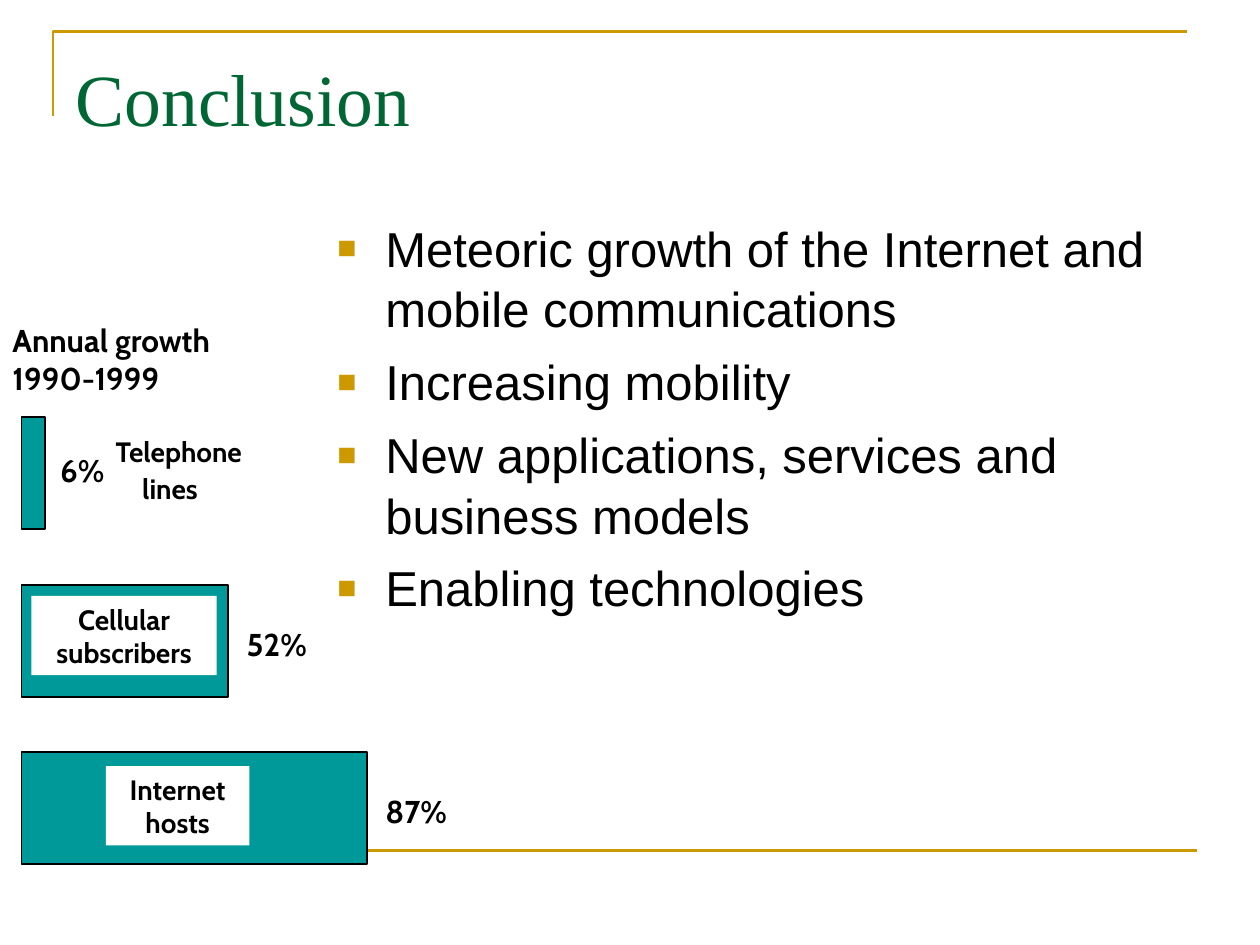
"""Build the conclusion slide with its bullets and annual growth bars."""
from dataclasses import dataclass

from lxml import etree
from pptx import Presentation
from pptx.dml.color import RGBColor
from pptx.enum.shapes import MSO_CONNECTOR, MSO_SHAPE
from pptx.enum.text import MSO_ANCHOR, MSO_AUTO_SIZE, PP_ALIGN
from pptx.oxml.ns import qn
from pptx.util import Inches, Pt

RECTANGLE, STRAIGHT = MSO_SHAPE.RECTANGLE, MSO_CONNECTOR.STRAIGHT
LEFT, CENTER = PP_ALIGN.LEFT, PP_ALIGN.CENTER
TOP, GROW = MSO_ANCHOR.TOP, MSO_AUTO_SIZE.SHAPE_TO_FIT_TEXT
NO_FIT = MSO_AUTO_SIZE.NONE

GOLD, GREEN, TEAL, BLACK, WHITE = "CC9900", "006633", "009999", "000000", "FFFFFF"
BAR_LEFT, BAR_TOP, BAR_PITCH, BAR_HEIGHT = 0.17, 3.31, 1.33, 0.89
INCHES_PER_PERCENT = 0.0315

BULLETS = [
    "Meteoric growth of the Internet and mobile communications",
    "Increasing mobility",
    "New applications, services and business models",
    "Enabling technologies",
]


@dataclass
class Area:
    left: float
    top: float
    width: float
    height: float

    def lengths(self):
        return [Inches(v) for v in (self.left, self.top, self.width, self.height)]


@dataclass
class Label:
    text: str
    area: Area
    size: int = 16
    wrap: bool = False
    fill: str = ""


PERCENTAGES = [6, 52, 87]
LABELS = [
    Label("87%", Area(2.96, 6.24, 0.71, 0.4), 18),
    Label("52%", Area(1.86, 4.91, 0.71, 0.4), 18),
    Label("6%", Area(0.38, 3.53, 0.57, 0.4), 18),
    Label("Telephone", Area(0.82, 3.4, 1.36, 0.37)),
    Label("lines", Area(1.03, 3.69, 0.72, 0.37)),
    Label("Cellular\nsubscribers", Area(0.25, 4.73, 1.47, 0.63), fill=WHITE),
    Label("Internet\nhosts", Area(0.84, 6.08, 1.14, 0.63), fill=WHITE),
    Label("Annual growth 1990-1999", Area(0, 2.5, 2.25, 0.7), 18, True),
]


def color(value: str) -> RGBColor:
    return RGBColor.from_string(value)


def apply(target, values: dict) -> None:
    for name, value in values.items():
        setattr(target, name, value)


def style_font(paragraph, name: str, size: int, ink: str, bold: bool = False) -> None:
    apply(paragraph.font, {"name": name, "size": Pt(size), "bold": bold})
    paragraph.font.color.rgb = color(ink)


def style_line(shape, ink: str, width: float) -> None:
    shape.line.color.rgb = color(ink)
    shape.line.width = Pt(width)


def add_rules(page) -> None:
    builder = page.shapes.build_freeform(Inches(0.42), Inches(0.92))
    corner = [(Inches(0.42), Inches(0.25)), (Inches(9.42), Inches(0.25))]
    builder.add_line_segments(corner, close=False)
    frame = builder.convert_to_shape()
    frame.shadow.inherit = False
    frame.fill.background()
    ends = [Inches(v) for v in (0.5, 6.75, 9.5, 6.75)]
    rule = page.shapes.add_connector(STRAIGHT, *ends)
    etree.SubElement(rule._element.spPr, qn("a:effectLst"))
    for shape in (frame, rule):
        style_line(shape, GOLD, 1.5)


def add_title(page) -> None:
    title = page.shapes.title
    title.left, title.top, title.width, title.height = Area(0.5, 0.3, 9, 1.25).lengths()
    frame = title.text_frame
    frame.text = "Conclusion"
    apply(frame, {"vertical_anchor": TOP, "auto_size": NO_FIT, "margin_top": Inches(0.12)})
    paragraph = frame.paragraphs[0]
    paragraph.alignment = LEFT
    style_font(paragraph, "Times New Roman", 42, GREEN)


def set_bullet(paragraph) -> None:
    properties = paragraph._p.get_or_add_pPr()
    properties.set("marL", str(Inches(0.38)))
    properties.set("indent", str(-Inches(0.38)))
    tint = etree.SubElement(properties, qn("a:buClr"))
    etree.SubElement(tint, qn("a:srgbClr"), val=GOLD)
    etree.SubElement(properties, qn("a:buSzPct"), val="65000")
    etree.SubElement(properties, qn("a:buFont"), typeface="Arial")
    etree.SubElement(properties, qn("a:buChar"), char="■")


def add_bullets(page) -> None:
    box = page.shapes.add_textbox(*Area(2.58, 1.67, 7.42, 4.5).lengths())
    frame = box.text_frame
    frame.word_wrap = True
    for index, text in enumerate(BULLETS):
        paragraph = frame.add_paragraph() if index else frame.paragraphs[0]
        paragraph.text = text
        set_bullet(paragraph)
        apply(paragraph, {"line_spacing": 1.03, "space_before": Pt(7 if index else 0)})
        style_font(paragraph, "Arial", 28, BLACK)


def add_bar(page, row: int, percent: int) -> None:
    area = Area(BAR_LEFT, BAR_TOP + row * BAR_PITCH, percent * INCHES_PER_PERCENT, BAR_HEIGHT)
    bar = page.shapes.add_shape(RECTANGLE, *area.lengths())
    bar.shadow.inherit = False
    bar.fill.solid()
    bar.fill.fore_color.rgb = color(TEAL)
    style_line(bar, BLACK, 1)


def add_label(page, label: Label) -> None:
    if label.fill:
        box = page.shapes.add_shape(RECTANGLE, *label.area.lengths())
        box.shadow.inherit = False
        box.fill.solid()
        box.fill.fore_color.rgb = color(label.fill)
        box.line.fill.background()
    else:
        box = page.shapes.add_textbox(*label.area.lengths())
    frame = box.text_frame
    apply(frame, {"word_wrap": label.wrap, "auto_size": GROW, "vertical_anchor": TOP})
    paragraph = frame.paragraphs[0]
    paragraph.text = label.text
    paragraph.alignment = CENTER if label.fill else LEFT
    style_font(paragraph, "Cabin", label.size, BLACK, True)


def main() -> None:
    deck = Presentation()
    deck.slide_width, deck.slide_height = Inches(10), Inches(7.5)
    page = deck.slides.add_slide(deck.slide_layouts[5])
    add_rules(page)
    add_title(page)
    add_bullets(page)
    for row, percent in enumerate(PERCENTAGES):
        add_bar(page, row, percent)
    for label in LABELS:
        add_label(page, label)
    deck.save("out.pptx")


if __name__ == "__main__":
    main()
